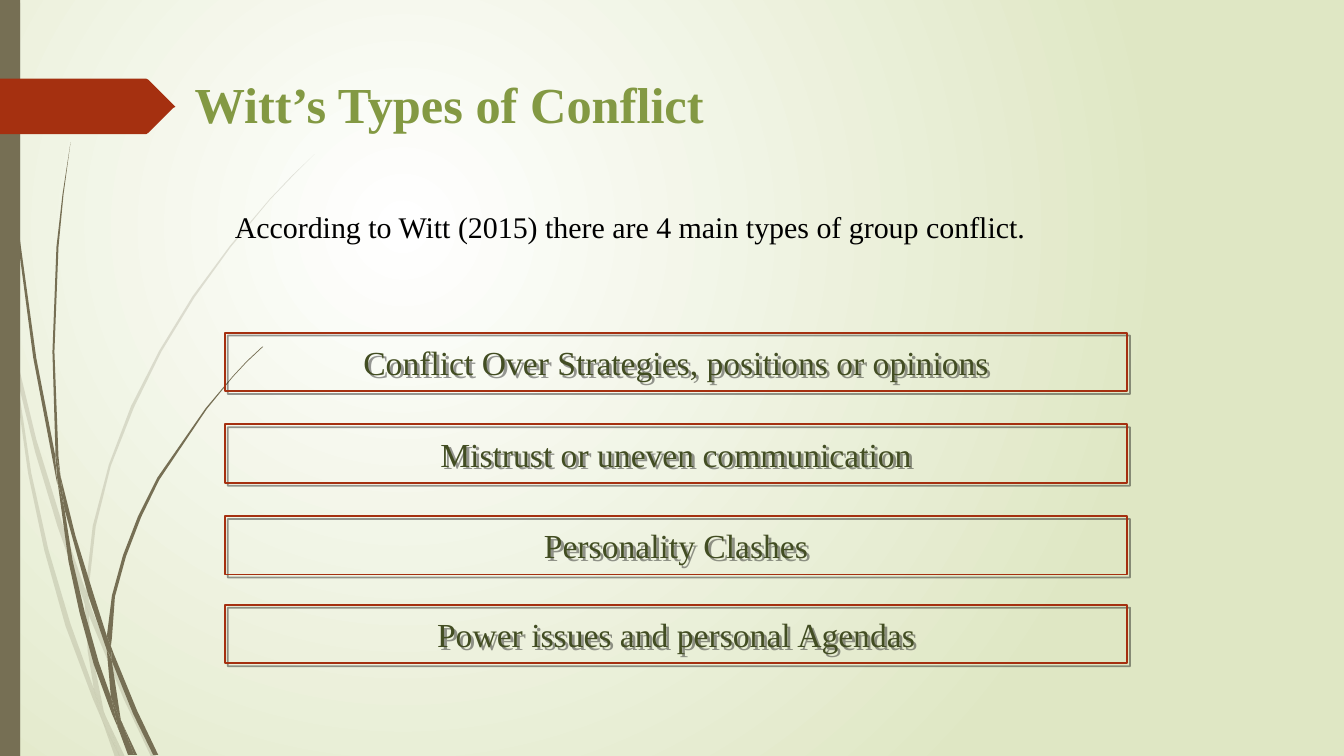
from pptx import Presentation
from pptx.dml.color import RGBColor
from pptx.enum import shapes, text
from pptx.oxml import parse_xml
from pptx.oxml.ns import nsdecls, qn
from pptx.util import Inches, Pt

FONT = "Times New Roman"
OLIVE, RUST, GREEN, DARK_GREEN = "766F54", "A53010", "839943", "424D22"

# Outlines of the grass blades, as (x, y) corners in inches.
PALE_BLADES = [
    [(0.11, 3.5), (0.08, 3.22), (0, 2.82), (0, 2.99), (0.1, 3.44)],
    [(0.57, 5.22), (0.84, 5.99), (0.85, 5.86), (0.62, 5.2), (0.36, 4.36), (0.14, 3.45),
     (0.17, 3.76), (0.35, 4.49)],
    [(0.92, 6.07), (0.88, 5.96), (0.88, 6.1), (1.23, 6.94), (1.5, 7.51), (1.55, 7.51),
     (1.27, 6.91)],
    [(1.19, 7.51), (1.24, 7.51), (1.05, 7.11)],
    [(0.93, 6.83), (0.7, 6.19), (0.48, 5.45), (0.31, 4.69), (0.17, 3.76), (0.11, 3.5),
     (0.28, 4.7), (0.44, 5.46), (0.65, 6.21), (0.92, 6.93), (1.01, 7.14), (0.99, 7.07)],
    [(0.84, 5.99), (0.87, 6.46), (0.93, 6.83), (0.96, 6.92), (1.05, 7.11), (1.03, 7.06),
     (0.91, 6.46), (0.88, 6.1), (0.88, 6.08)],
    [(0.88, 5.84), (0.95, 5.22), (1.1, 4.62), (1.33, 4.04), (1.6, 3.49), (1.93, 2.95),
     (2.29, 2.45), (2.68, 1.98), (2.9, 1.75), (3.12, 1.53), (2.89, 1.75), (2.68, 1.97),
     (2.28, 2.44), (1.91, 2.94), (1.58, 3.48), (1.3, 4.03), (1.08, 4.61), (0.92, 5.22),
     (0.85, 5.84), (0.85, 5.86), (0.88, 5.96)],
    [(1.01, 7.14), (1.14, 7.51), (1.19, 7.51)],
    [(0.88, 6.08), (0.88, 6.1), (0.88, 5.96), (0.85, 5.86), (0.84, 5.99)],
    [(0.96, 6.92), (0.93, 6.83), (0.99, 7.07), (1.01, 7.14), (1.19, 7.51), (1.05, 7.11)],
]
DARK_BLADES = [
    [(0.07, 1.1), (0.17, 2.33), (0.33, 3.55), (0.56, 4.76), (0.57, 4.81), (0.55, 4.57),
     (0.55, 4.53), (0.36, 3.55), (0.19, 2.32), (0.08, 1.09), (0.05, 0.48), (0.04, 0),
     (0.03, 0), (0.04, 0.48)],
    [(0.88, 5.92), (1.06, 6.45), (1.06, 6.31), (0.93, 5.9), (0.75, 5.32), (0.6, 4.72),
     (0.64, 5.05)],
    [(1.13, 6.49), (1.1, 6.41), (1.11, 6.56), (1.32, 7.08), (1.52, 7.49), (1.57, 7.49),
     (1.36, 7.05)],
    [(1.1, 6.91), (0.98, 6.57), (0.84, 6.07), (0.72, 5.56), (0.64, 5.05), (0.57, 4.77),
     (0.68, 5.57), (0.79, 6.08), (0.93, 6.59), (1.11, 7.08), (1.17, 7.22), (1.16, 7.17)],
    [(0.6, 4.72), (0.58, 4.53), (0.54, 3.49), (0.58, 2.45), (0.63, 1.93), (0.7, 1.41),
     (0.62, 1.93), (0.56, 2.45), (0.52, 3.49), (0.55, 4.49), (0.6, 4.71)],
    [(1.33, 7.49), (1.36, 7.49), (1.22, 7.19)],
    [(0.57, 4.77), (0.64, 5.05), (0.6, 4.72), (0.55, 4.49), (0.55, 4.53)],
    [(1.11, 6.33), (1.14, 5.92), (1.25, 5.52), (1.4, 5.13), (1.58, 4.76), (2.05, 4.06),
     (2.31, 3.74), (2.45, 3.59), (2.61, 3.44), (2.6, 3.44), (2.45, 3.58), (2.31, 3.73),
     (2.04, 4.05), (1.56, 4.74), (1.37, 5.12), (1.22, 5.51), (1.11, 5.91), (1.06, 6.31),
     (1.1, 6.41)],
    [(1.17, 7.22), (1.27, 7.49), (1.31, 7.49)],
    [(1.06, 6.45), (1.1, 6.91), (1.16, 7.06), (1.22, 7.19), (1.2, 7.15), (1.11, 6.56),
     (1.09, 6.51)],
    [(1.06, 6.45), (1.09, 6.5), (1.11, 6.56), (1.1, 6.41), (1.06, 6.31)],
    [(1.16, 7.06), (1.1, 6.91), (1.16, 7.17), (1.17, 7.22), (1.3, 7.49), (1.33, 7.49),
     (1.22, 7.19)],
]
TAG = [(0, 0.78), (1.45, 0.78), (1.47, 0.79), (1.72, 1.04), (1.74, 1.06),
       (1.72, 1.07), (1.47, 1.32), (1.45, 1.33), (0, 1.33)]
CONFLICT_TYPES = [
    (3.3, "Conflict Over Strategies, positions or opinions"),
    (4.21, "Mistrust or uneven communication"),
    (5.12, "Personality Clashes"),
    (6.0, "Power issues and personal Agendas"),
]


def rgb(color):
    return RGBColor.from_string(color)


def set_background(slide):
    """Fill the background with a radial gradient centred at the upper left."""
    fill = slide.background.fill
    fill.gradient()
    for stop, color in zip(fill.gradient_stops, ("FFFFFF", "DFE7C4")):
        stop.color.rgb = rgb(color)
    gradient = slide.element.find(".//" + qn("a:gradFill"))
    gradient.replace(gradient.find(qn("a:lin")), parse_xml(
        f'<a:path {nsdecls("a")} path="circle">'
        '<a:fillToRect l="30000" t="30000" r="70000" b="70000"/></a:path>'))


def add_shadow(shape, alpha, distance, angle):
    shape.shadow.inherit = False
    shape.element.spPr.find(qn("a:effectLst")).append(parse_xml(
        f'<a:outerShdw {nsdecls("a")} blurRad="0" dist="{Pt(distance)}" '
        f'dir="{angle * 60000}" algn="tl" rotWithShape="0"><a:srgbClr val="000000">'
        f'<a:alpha val="{alpha * 1000}"/></a:srgbClr></a:outerShdw>'))


def fill_solid(shape, color, alpha=100):
    shape.fill.solid()
    shape.fill.fore_color.rgb = rgb(color)
    shape.line.fill.background()
    shape.shadow.inherit = False
    if alpha < 100:
        color_element = shape.element.spPr.find(".//" + qn("a:srgbClr"))
        color_element.append(parse_xml(f'<a:alpha {nsdecls("a")} val="{alpha * 1000}"/>'))


def add_outline(slide, corners, color, alpha=100):
    points = [(Inches(x), Inches(y)) for x, y in corners]
    builder = slide.shapes.build_freeform(*points[0])
    builder.add_line_segments(points[1:], close=True)
    fill_solid(builder.convert_to_shape(), color, alpha)


def write(shape, words, *, size, color, bold=False, align=text.PP_ALIGN.LEFT,
          anchor=text.MSO_ANCHOR.TOP):
    frame = shape.text_frame
    frame.word_wrap = True
    frame.vertical_anchor = anchor
    paragraph = frame.paragraphs[0]
    paragraph.alignment = align
    run = paragraph.add_run()
    run.text = words
    run.font.name = FONT
    run.font.size = Pt(size)
    run.font.bold = bold
    run.font.color.rgb = rgb(color)


def add_rectangle(slide, left, top, width, height):
    return slide.shapes.add_shape(shapes.MSO_SHAPE.RECTANGLE, Inches(left),
                                  Inches(top), Inches(width), Inches(height))


def add_conflict_box(slide, top, words):
    box = add_rectangle(slide, 2.23, top, 8.95, 0.58)
    box.fill.background()
    box.line.color.rgb = rgb(RUST)
    box.line.width = Pt(1.25)
    add_shadow(box, alpha=40, distance=3, angle=45)
    write(box, words, size=24, color=DARK_GREEN, align=text.PP_ALIGN.CENTER,
          anchor=text.MSO_ANCHOR.MIDDLE)


def add_title(slide, words):
    title = slide.shapes.title
    title.left, title.top = Inches(1.83), Inches(0.68)
    title.width, title.height = Inches(9.08), Inches(0.77)
    write(title, words, size=36, color=GREEN, bold=True)


def main():
    presentation = Presentation()
    presentation.slide_width = Inches(13.33)
    presentation.slide_height = Inches(7.5)
    slide = presentation.slides.add_slide(presentation.slide_layouts[5])
    set_background(slide)

    for blade in PALE_BLADES:
        add_outline(slide, blade, OLIVE, alpha=20)
    for blade in DARK_BLADES:
        add_outline(slide, blade, OLIVE)
    side_bar = add_rectangle(slide, 0, 0, 0.2, 7.5)
    fill_solid(side_bar, OLIVE)
    add_shadow(side_bar, alpha=25, distance=2, angle=90)
    add_outline(slide, TAG, RUST)

    add_title(slide, "Witt’s Types of Conflict")
    intro = slide.shapes.add_textbox(Inches(2.23), Inches(2.02), Inches(8.95), Inches(0.46))
    write(intro, "According to Witt (2015) there are 4 main types of group conflict.",
          size=21.4, color="000000")
    for top, words in CONFLICT_TYPES:
        add_conflict_box(slide, top, words)

    presentation.save("out.pptx")


if __name__ == "__main__":
    main()
